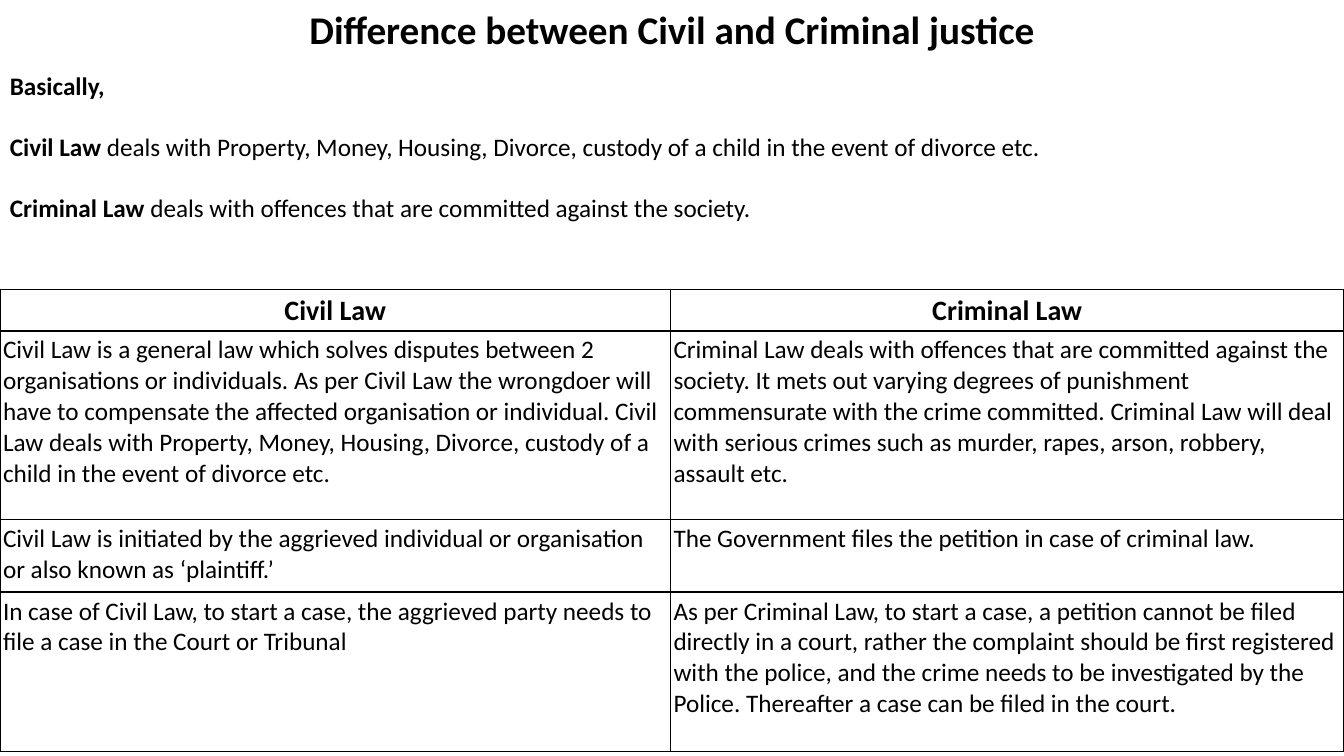
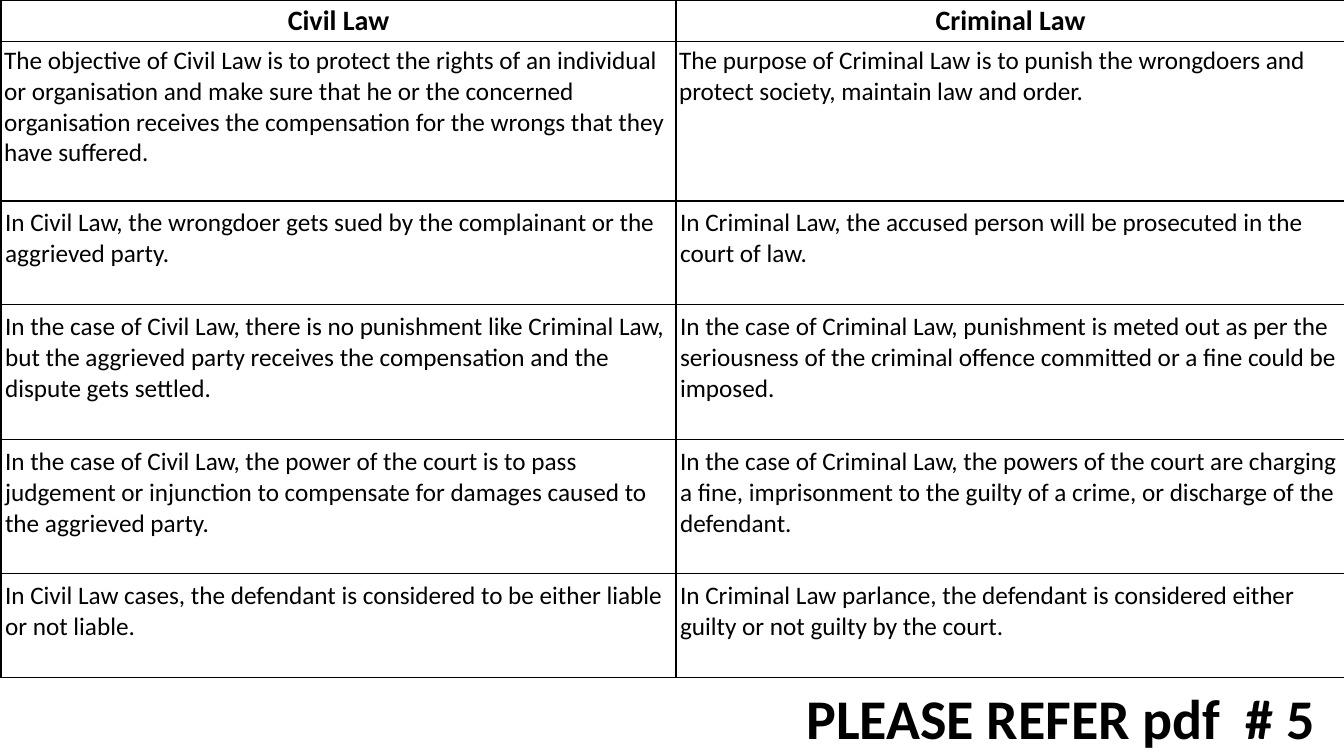
from dataclasses import dataclass

from lxml.etree import SubElement
from pptx import Presentation
from pptx.dml.color import RGBColor
from pptx.enum.text import MSO_AUTO_SIZE, PP_ALIGN
from pptx.oxml.ns import qn
from pptx.util import Emu, Inches, Pt


@dataclass(frozen=True)
class Theme:
    font: str = "Calibri"
    ink: str = "000000"
    paper: str = "FFFFFF"
    title: int = 28
    body: int = 18
    heading: int = 20
    notice: int = 40
    paragraph_gap: int = 22
    border: float = 1


@dataclass(frozen=True)
class Box:
    left: int
    top: int
    width: int
    height: int

    def region(self, left, top, width, height):
        """Return the box inside this one, given in percent of its size."""
        return Box(
            Emu(int(self.left + self.width * left / 100)),
            Emu(int(self.top + self.height * top / 100)),
            Emu(int(self.width * width / 100)),
            Emu(int(self.height * height / 100)),
        )

    def edges(self):
        return self.left, self.top, self.width, self.height


THEME = Theme()
SLIDE = Box(0, 0, Inches(13.33), Inches(7.5))
HEADINGS = ("Civil Law", "Criminal Law")
TIGHT = (0.03, 0.04)
LOOSE = (0.04, 0.07)

INTRODUCTION = [
    [("Basically,", True)],
    [
        ("Civil Law ", True),
        ("deals with Property, Money, Housing, Divorce, custody of a child in the event of divorce etc.", False),
    ],
    [
        ("Criminal Law ", True),
        ("deals with offences that are committed against the society.", False),
    ],
]

# Each row: share of the table height, (side, top) cell margins, civil text, criminal text
SCOPE_ROWS = [
    (0.41, TIGHT, *HEADINGS),
    (
        1.87, TIGHT,
        "Civil Law is a general law which solves disputes between 2 organisations or individuals. "
        "As per Civil Law the wrongdoer will have to compensate the affected organisation or individual. "
        "Civil Law deals with Property, Money, Housing, Divorce, custody of a child in the event of divorce etc.",
        "Criminal Law deals with offences that are committed against the society. "
        "It mets out varying degrees of punishment commensurate with the crime committed. "
        "Criminal Law will deal with serious crimes such as murder, rapes, arson, robbery, assault etc.",
    ),
    (
        0.72, TIGHT,
        "Civil Law is initiated by the aggrieved individual or organisation or also known as ‘plaintiff.’",
        "The Government files the petition in case of criminal law.",
    ),
    (
        1.58, TIGHT,
        "In case of Civil Law, to start a case, the aggrieved party needs to file a case in the Court or Tribunal",
        "As per Criminal Law, to start a case, a petition cannot be filed directly in a court, "
        "rather the complaint should be first registered with the police, and the crime needs to be "
        "investigated by the Police. Thereafter a case can be filed in the court.",
    ),
]

OUTCOME_ROWS = [
    (0.41, TIGHT, *HEADINGS),
    (
        1.58, TIGHT,
        "The objective of Civil Law is to protect the rights of an individual or organisation and make sure "
        "that he or the concerned organisation receives the compensation for the wrongs that they have suffered.",
        "The purpose of Criminal Law is to punish the wrongdoers and protect society, maintain law and order.",
    ),
    (
        1.03, LOOSE,
        "In Civil Law, the wrongdoer gets sued by the complainant or the aggrieved party.",
        "In Criminal Law, the accused person will be prosecuted in the court of law.",
    ),
    (
        1.34, LOOSE,
        "In the case of Civil Law, there is no punishment like Criminal Law, "
        "but the aggrieved party receives the compensation and the dispute gets settled.",
        "In the case of Criminal Law, punishment is meted out as per the seriousness of the criminal offence "
        "committed or a fine could be imposed.",
    ),
    (
        1.33, LOOSE,
        "In the case of Civil Law, the power of the court is to pass judgement or injunction "
        "to compensate for damages caused to the aggrieved party.",
        "In the case of Criminal Law, the powers of the court are charging a fine, "
        "imprisonment to the guilty of a crime, or discharge of the defendant.",
    ),
    (
        1.03, LOOSE,
        "In Civil Law cases, the defendant is considered to be either liable or not liable.",
        "In Criminal Law parlance, the defendant is considered either guilty or not guilty by the court.",
    ),
]


def set_attributes(target, values):
    for name, value in values.items():
        setattr(target, name, value)


def write_run(paragraph, text, size, bold):
    run = paragraph.add_run()
    run.text = text
    set_attributes(run.font, {"name": THEME.font, "size": Pt(size), "bold": bold})
    run.font.color.rgb = RGBColor.from_string(THEME.ink)


def add_text(slide, box, paragraphs, size, alignment=PP_ALIGN.LEFT):
    """Add a text box; each paragraph is a list of (text, bold) runs."""
    frame = slide.shapes.add_textbox(*box.edges()).text_frame
    set_attributes(frame, {"word_wrap": True, "auto_size": MSO_AUTO_SIZE.SHAPE_TO_FIT_TEXT})
    for index, runs in enumerate(paragraphs):
        paragraph = frame.add_paragraph() if index else frame.paragraphs[0]
        paragraph.alignment = alignment
        paragraph.space_before = Pt(THEME.paragraph_gap if index else 0)
        for text, bold in runs:
            write_run(paragraph, text, size, bold)


def add_borders(cell):
    properties = cell._tc.get_or_add_tcPr()
    for side in ("a:lnL", "a:lnR", "a:lnT", "a:lnB"):
        line = SubElement(properties, qn(side), w=str(Pt(THEME.border)))
        fill = SubElement(line, qn("a:solidFill"))
        SubElement(fill, qn("a:srgbClr"), val=THEME.ink)


def fill_cell(cell, text, margins, is_heading):
    side, top = map(Inches, margins)
    set_attributes(cell, {
        "margin_left": side, "margin_right": side,
        "margin_top": top, "margin_bottom": top,
    })
    add_borders(cell)
    cell.fill.solid()
    cell.fill.fore_color.rgb = RGBColor.from_string(THEME.paper)
    paragraph = cell.text_frame.paragraphs[0]
    paragraph.alignment = PP_ALIGN.CENTER if is_heading else PP_ALIGN.LEFT
    write_run(paragraph, text, THEME.heading if is_heading else THEME.body, is_heading)


def add_comparison(slide, box, column_shares, rows):
    """Add the two-column table, dividing the box by column and row shares."""
    table = slide.shapes.add_table(len(rows), len(column_shares), *box.edges()).table
    set_attributes(table, {"first_row": False, "horz_banding": False})
    for column, share in zip(table.columns, column_shares):
        column.width = Emu(int(box.width * share / sum(column_shares)))
    total = sum(row[0] for row in rows)
    for row_index, (share, margins, *texts) in enumerate(rows):
        table.rows[row_index].height = Emu(int(box.height * share / total))
        for column_index, text in enumerate(texts):
            fill_cell(table.cell(row_index, column_index), text, margins, row_index == 0)


def build_scope_slide(slide, box):
    add_text(slide, box.region(0, 8.67, 100, 21.6), INTRODUCTION, THEME.body)
    title = [[("Difference between Civil and Criminal justice", True)]]
    add_text(slide, box.region(0, 0, 100, 7.6), title, THEME.title, PP_ALIGN.CENTER)
    add_comparison(slide, box.region(0, 38.27, 100, 61.07), (6.65, 6.68), SCOPE_ROWS)


def build_outcome_slide(slide, box):
    add_comparison(slide, box.region(0.08, 0, 100, 89.6), (6.7, 6.64), OUTCOME_ROWS)
    notice = [[("PLEASE REFER pdf  # 5", True)]]
    add_text(slide, box.region(57.84, 89.73, 42.16, 10.27), notice, THEME.notice, PP_ALIGN.CENTER)


def main():
    presentation = Presentation()
    set_attributes(presentation, {"slide_width": SLIDE.width, "slide_height": SLIDE.height})
    blank = presentation.slide_layouts[6]
    for build in (build_scope_slide, build_outcome_slide):
        build(presentation.slides.add_slide(blank), SLIDE)
    presentation.save("out.pptx")


if __name__ == "__main__":
    main()
